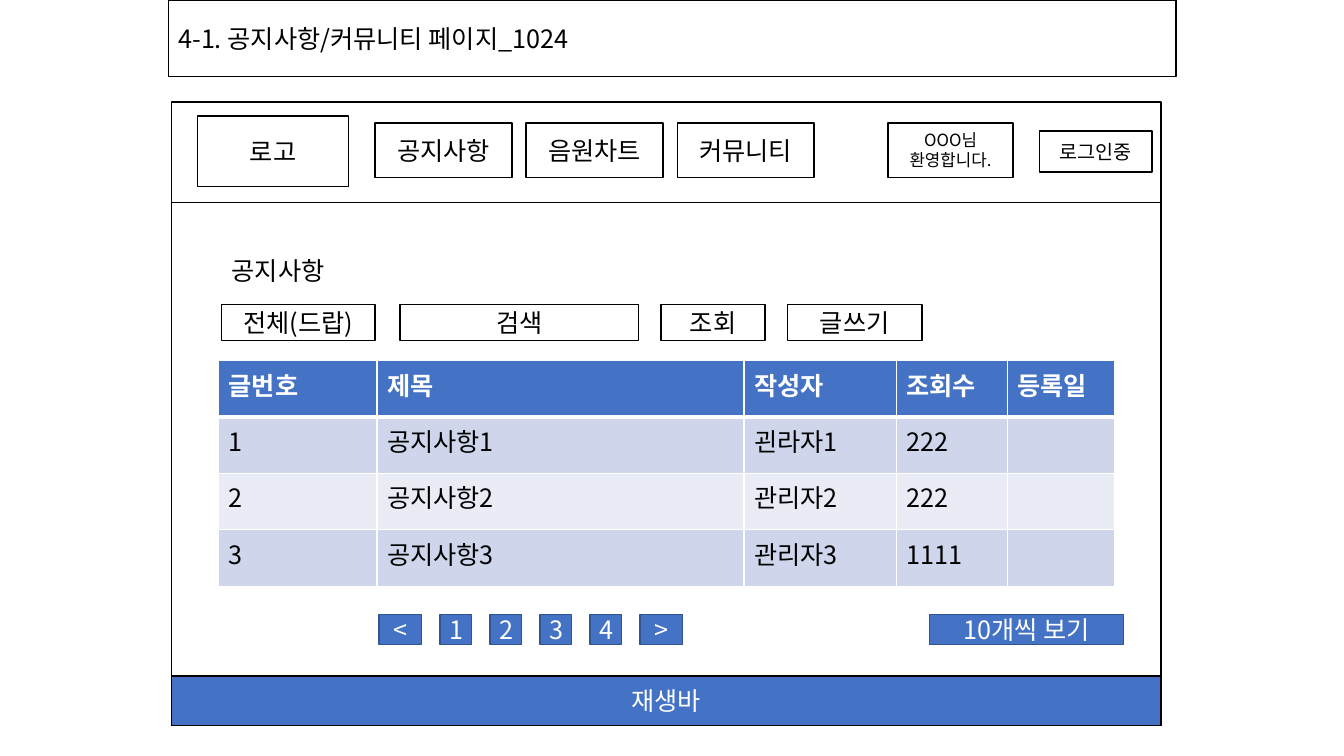
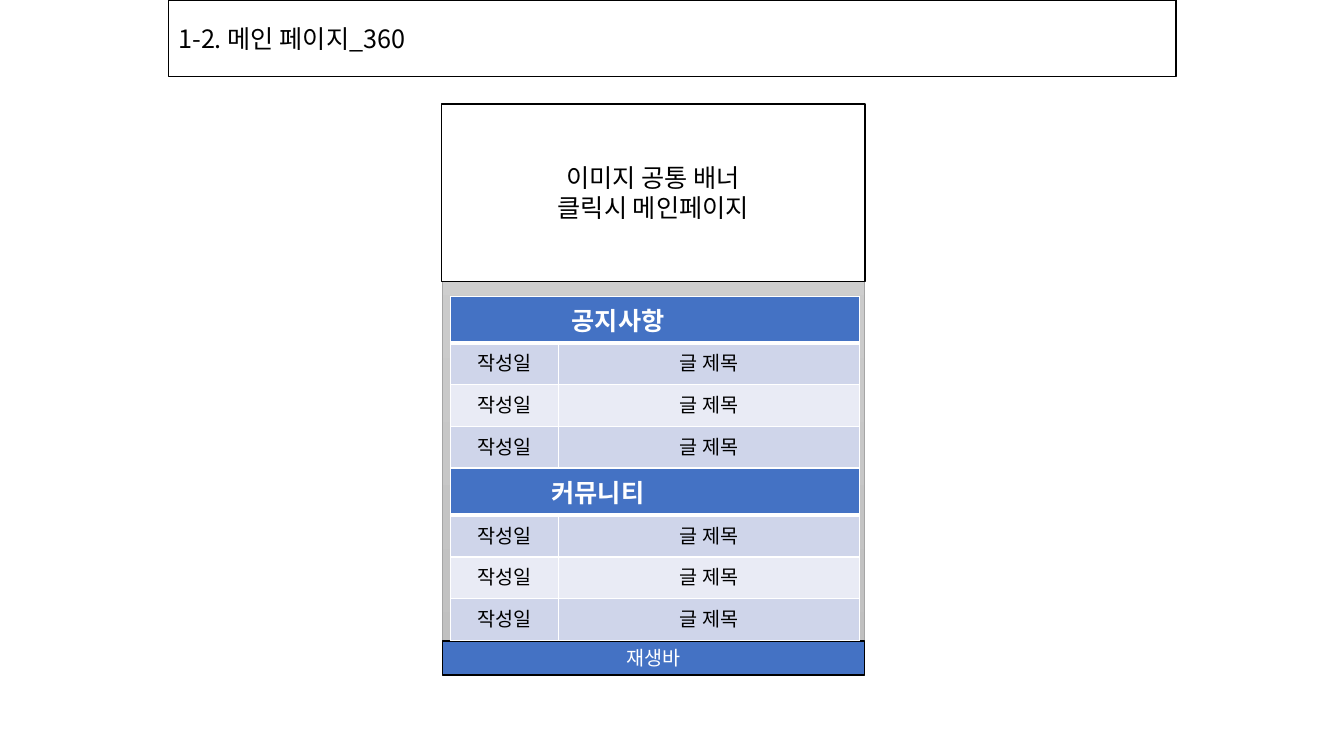
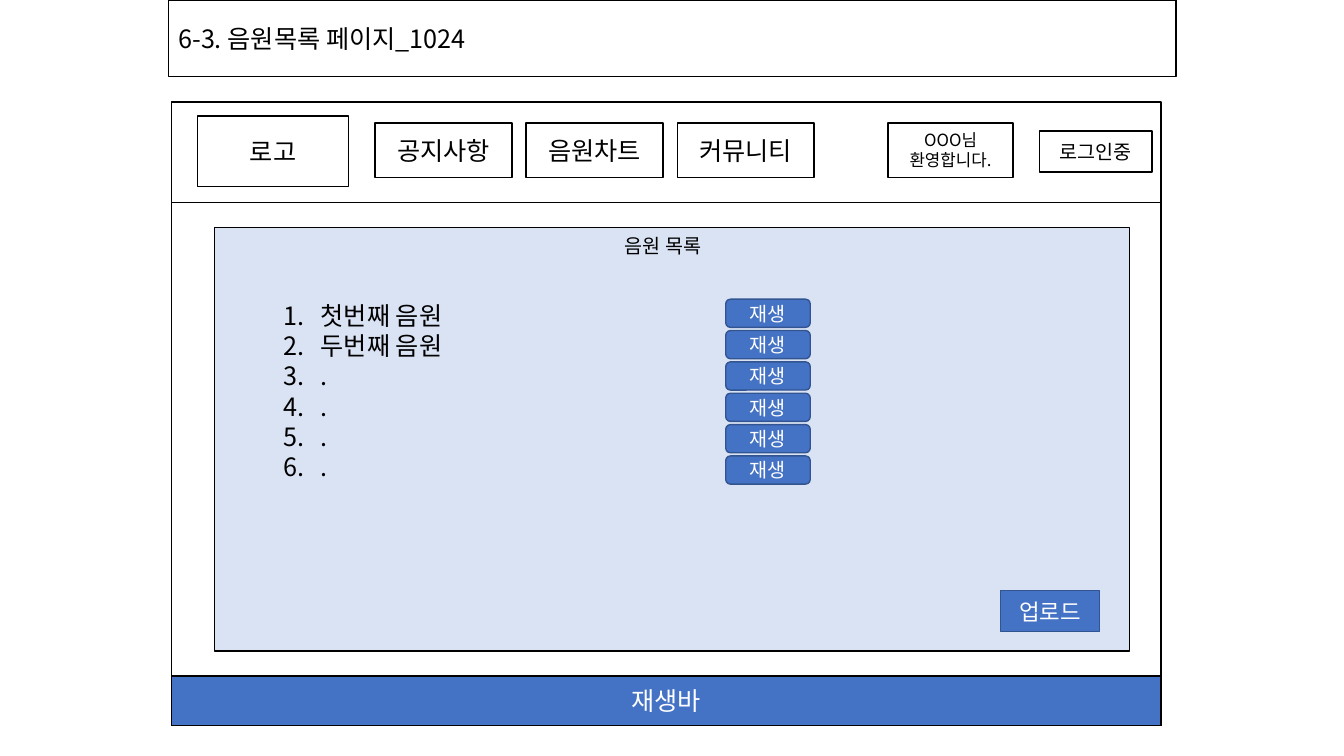
from dataclasses import dataclass

from lxml import etree
from pptx import Presentation
from pptx.dml.color import RGBColor
from pptx.enum import shapes, text
from pptx.oxml import ns
from pptx.util import Cm, Pt


@dataclass(frozen=True)
class Theme:
    font: str = "Noto Sans CJK KR"
    black: str = "000000"
    white: str = "FFFFFF"
    blue: str = "4472C4"
    blue_edge: str = "325491"
    pale_blue: str = "DAE3F3"
    bands: tuple = ("CFD5EA", "E9EBF5")
    panel: tuple = ("D2D2D2", "C0C0C0")
    panel_edge: str = "A5A5A5"
    large: int = 18
    medium: int = 16
    small: int = 14
    tiny: int = 12


THEME = Theme()
OUTLINED = dict(fill=THEME.white, edge=THEME.black, color=THEME.black)
BUTTON = dict(fill=THEME.blue, edge=THEME.blue_edge, color=THEME.white)
PLAY_BAR = dict(BUTTON, edge=THEME.black)
SONG_PANEL = dict(OUTLINED, fill=THEME.pale_blue)
CENTER, LEFT = text.PP_ALIGN.CENTER, text.PP_ALIGN.LEFT


def rgb(value):
    return RGBColor.from_string(value)


def place(shape, left, top, width, height):
    for side, length in dict(left=left, top=top, width=width, height=height).items():
        setattr(shape, side, Cm(length))


def write(frame, lines, size=THEME.large, color=THEME.black, align=LEFT, bold=False):
    """Fill a text frame with one paragraph per line, in the theme font."""
    for number, line in enumerate(lines):
        paragraph = frame.paragraphs[0] if number == 0 else frame.add_paragraph()
        paragraph.alignment = align
        run = paragraph.add_run()
        run.text = line
        for name, value in dict(size=Pt(size), bold=bold, name=THEME.font).items():
            setattr(run.font, name, value)
        run.font.color.rgb = rgb(color)
        latin = run.font._element.find(ns.qn("a:latin"))
        east_asian = etree.Element(ns.qn("a:ea"), typeface=THEME.font)
        latin.addnext(east_asian)


def box(canvas, at, *lines, look=OUTLINED, size=THEME.large,
        preset=shapes.MSO_SHAPE.RECTANGLE):
    shape = canvas.add_shape(preset, *map(Cm, at))
    shape.shadow.inherit = False
    shape.fill.solid()
    shape.fill.fore_color.rgb = rgb(look["fill"])
    shape.line.color.rgb = rgb(look["edge"])
    shape.line.width = Pt(1)
    write(shape.text_frame, lines, size, look["color"], CENTER)
    return shape


def label(canvas, at, line, size=THEME.large):
    frame = canvas.add_textbox(*map(Cm, at)).text_frame
    frame.word_wrap = True
    write(frame, [line], size)


def border(cell, bottom):
    """Draw white cell edges, with the bottom one of the given width."""
    properties = cell._tc.get_or_add_tcPr()
    for index, (tag, width) in enumerate(dict(lnL=1, lnR=1, lnT=1, lnB=bottom).items()):
        line = etree.Element(ns.qn(f"a:{tag}"), w=str(Pt(width)))
        fill = etree.SubElement(line, ns.qn("a:solidFill"))
        etree.SubElement(fill, ns.qn("a:srgbClr"), val=THEME.white)
        properties.insert(index, line)


def board(canvas, left, top, widths, row_height, rows, body_size=THEME.large,
          align=LEFT):
    """Add a table with a blue header row and banded rows below it."""
    table = canvas.add_table(len(rows), len(widths), Cm(left), Cm(top),
                             Cm(sum(widths)), Cm(row_height * len(rows))).table
    for column, width in zip(table.columns, widths):
        column.width = Cm(width)
    for r, row in enumerate(rows):
        table.rows[r].height = Cm(row_height)
        header = r == 0
        fill = THEME.blue if header else THEME.bands[(r - 1) % 2]
        style = (dict(color=THEME.white, bold=True) if header
                 else dict(size=body_size, align=align))
        for c, value in enumerate(row):
            cell = table.cell(r, c)
            cell.fill.solid()
            cell.fill.fore_color.rgb = rgb(fill)
            border(cell, 3 if header else 1)
            if value:
                write(cell.text_frame, [value], **style)
    return table


def post_list(canvas, top, heading, heading_margin):
    rows = [(heading, "")] + [("작성일", "글 제목")] * 3
    table = board(canvas, 11.35, top, (2.72, 7.59), 1.05, rows, THEME.small, CENTER)
    heading_cell = table.cell(0, 0)
    heading_cell.merge(table.cell(0, 1))
    heading_cell.margin_left = Cm(heading_margin)


def number_paragraphs(frame, indent):
    for paragraph in frame.paragraphs:
        paragraph.space_before = Pt(0)
        properties = paragraph._p.get_or_add_pPr()
        properties.set("marL", str(Cm(indent)))
        properties.set("indent", str(-Cm(indent)))
        etree.SubElement(properties, ns.qn("a:buFont"), typeface="+mj-lt")
        etree.SubElement(properties, ns.qn("a:buAutoNum"), type="arabicPeriod")


def new_slide(deck, heading, layout="Title Only"):
    slide = deck.slides.add_slide(deck.slide_layouts.get_by_name(layout))
    title = slide.shapes.title
    place(title, 4.24, 0, 25.4, 1.93)
    title.line.color.rgb = rgb(THEME.black)
    title.line.width = Pt(1)
    title.text_frame.vertical_anchor = text.MSO_ANCHOR.MIDDLE
    title.text_frame.auto_size = text.MSO_AUTO_SIZE.NONE
    write(title.text_frame, [heading])
    return slide


def site_frame(slide):
    """Draw the desktop page: outline, top menu and play bar."""
    page = slide.shapes.add_group_shape().shapes
    box(page, (4.32, 2.59, 24.94, 15.7))
    box(page, (4.32, 2.57, 24.94, 2.54))
    box(page, (4.98, 2.92, 3.81, 1.78), "로고")
    for index, item in enumerate(("공지사항", "음원차트", "커뮤니티")):
        box(page, (9.45 + 3.81 * index, 3.1, 3.45, 1.37), item)
    box(page, (26.19, 3.3, 2.84, 1.04), "로그인중", size=THEME.small)
    box(page, (4.32, 17.04, 24.94, 1.24), "재생바", look=PLAY_BAR)
    box(page, (22.38, 3.1, 3.15, 1.37), "OOO님 환영합니다.", size=THEME.tiny)


def notice_slide(deck):
    slide = new_slide(deck, "4-1. 공지사항/커뮤니티 페이지_1024")
    site_frame(slide)
    canvas = slide.shapes
    label(canvas, (5.59, 6.32, 3.23, 1.02), "공지사항")
    filters = (("전체(드랍)", 5.59, 3.86), ("검색", 10.08, 6.02),
               ("조회", 16.66, 2.62), ("글쓰기", 19.84, 3.4))
    for name, left, width in filters:
        box(canvas, (left, 7.67, width, 0.91), name)
    board(canvas, 5.51, 9.09, (3.99, 9.25, 3.84, 2.79, 2.72), 1.42, [
        ("글번호", "제목", "작성자", "조회수", "등록일"),
        ("1", "공지사항1", "괸라자1", "222", ""),
        ("2", "공지사항2", "관리자2", "222", ""),
        ("3", "공지사항3", "관리자3", "1111", ""),
    ])
    left, gap = 9.55, 0.47
    for page_link in "<1234>":
        width = 0.79 if page_link.isdigit() else 1.07
        box(canvas, (left, 15.48, width, 0.76), page_link, look=BUTTON)
        left += width + gap
    box(canvas, (23.42, 15.48, 4.9, 0.76), "10개씩 보기", look=BUTTON)


def mobile_main_slide(deck):
    slide = new_slide(deck, "1-2. 메인 페이지_360")
    canvas = slide.shapes
    screen = box(canvas, (11.15, 2.64, 10.64, 14.38))
    screen.fill.gradient()
    screen.fill.gradient_angle = 270
    for stop, color in zip(screen.fill.gradient_stops, THEME.panel):
        stop.color.rgb = rgb(color)
    screen.line.color.rgb = rgb(THEME.panel_edge)
    screen.line.width = Pt(0.5)
    box(canvas, (11.13, 2.62, 10.67, 4.47), "이미지 공통 배너", "클릭시 메인페이지")
    box(canvas, (11.15, 16.15, 10.64, 0.86), "재생바", look=PLAY_BAR, size=THEME.small)
    post_list(canvas, 7.47, "공지사항", 3.06)
    post_list(canvas, 11.81, "커뮤니티", 2.55)


def song_list_slide(deck):
    slide = new_slide(deck, "6-3. 음원목록 페이지_1024", "Title and Content")
    site_frame(slide)
    canvas = slide.shapes
    panel = box(canvas, (5.41, 5.74, 23.06, 10.67), look=SONG_PANEL)
    label(canvas, (15.49, 5.77, 3.12, 0.86), "음원 목록", THEME.small)
    songs = slide.placeholders[1]
    place(songs, 6.88, 7.44, 4.93, 5.64)
    songs.text_frame.auto_size = text.MSO_AUTO_SIZE.NONE
    titles = ["첫번째 음원", "두번째 음원"] + ["."] * 4
    write(songs.text_frame, titles)
    number_paragraphs(songs.text_frame, 0.95)
    panel.element.addnext(songs.element)
    for index in range(len(titles)):
        box(canvas, (18.29, 7.54 + 0.79 * index, 2.13, 0.71), "재생", look=BUTTON,
            size=THEME.small, preset=shapes.MSO_SHAPE.ROUNDED_RECTANGLE)
    box(canvas, (25.22, 14.88, 2.49, 1.04), "업로드", look=BUTTON, size=THEME.medium)


def main():
    deck = Presentation()
    deck.slide_width, deck.slide_height = Cm(33.87), Cm(19.05)
    notice_slide(deck)
    mobile_main_slide(deck)
    song_list_slide(deck)
    deck.save("out.pptx")


if __name__ == "__main__":
    main()
